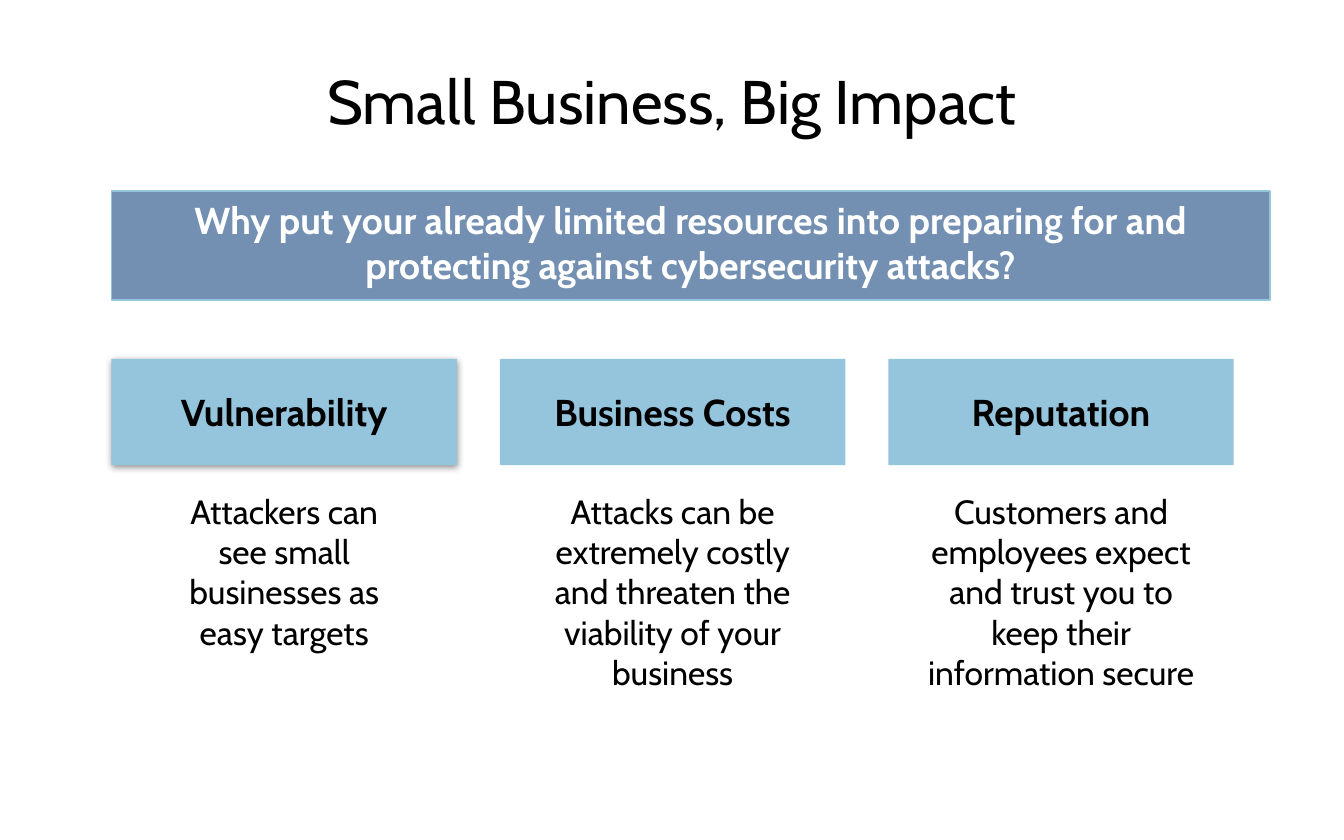
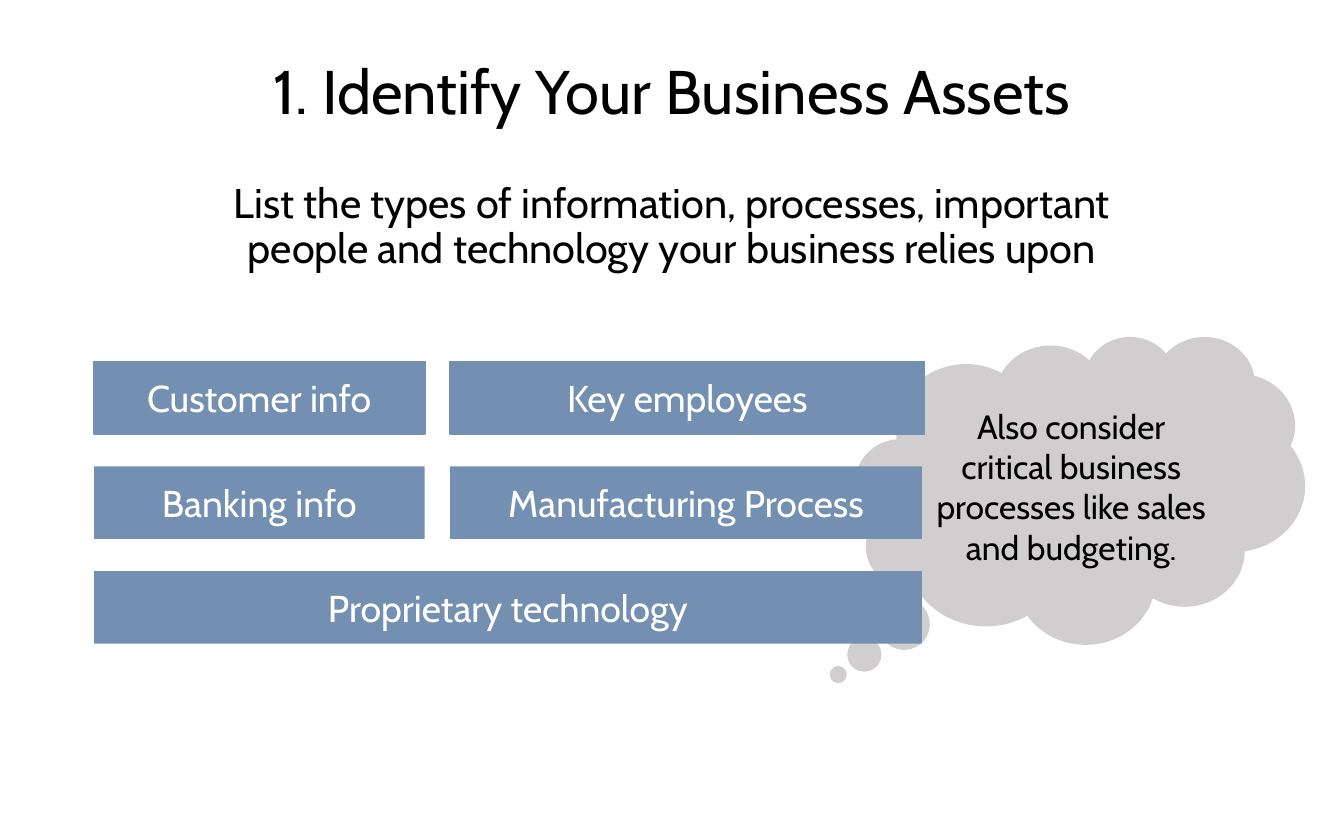
from dataclasses import dataclass

from lxml.etree import SubElement
from pptx import Presentation
from pptx.dml.color import RGBColor
from pptx.enum.shapes import MSO_SHAPE
from pptx.enum.text import MSO_ANCHOR, MSO_AUTO_SIZE, PP_ALIGN
from pptx.oxml.ns import qn
from pptx.shapes.autoshape import Shape
from pptx.slide import Slide
from pptx.util import Inches, Pt

FONT = "Cabin"
COLORS = {
    "text": "000000",
    "light_text": "FFFFFF",
    "slate": "7390B3",
    "sky": "95C4DD",
    "cloud": "D0CECE",
}


@dataclass(frozen=True)
class Box:
    left: float
    top: float
    width: float
    height: float


@dataclass(frozen=True)
class Style:
    size: float
    color: str = "text"
    bold: bool = False
    anchor: MSO_ANCHOR = MSO_ANCHOR.MIDDLE
    line_spacing: float = 1.0


@dataclass(frozen=True)
class Reason:
    heading: str
    detail: str
    detail_width: float
    detail_height: float
    raised: bool = False


@dataclass(frozen=True)
class Asset:
    label: str
    row: int
    left: float
    width: float
    outline: str | None = None


TITLE = Style(33, line_spacing=0.9)
SUBTITLE = Style(22.2, anchor=MSO_ANCHOR.TOP, line_spacing=0.9)
BANNER = Style(20, "light_text", bold=True, anchor=MSO_ANCHOR.TOP)
HEADING = Style(20, bold=True)
DETAIL = Style(18, anchor=MSO_ANCHOR.TOP)
ASSET = Style(20, "light_text")
CALLOUT = Style(18)

CARD = Box(0.83, 2.67, 2.57, 0.79)
CARD_STEP = 2.89
DETAIL_TOP = 3.6
REASONS = [
    Reason("Vulnerability", "Attackers can see small businesses as easy targets", 1.93, 1.31, raised=True),
    Reason(
        "Business Costs",
        "Attacks can be extremely costly and threaten the viability of your business",
        2.34,
        1.31,
    ),
    Reason(
        "Reputation",
        "Customers and employees expect and trust you to keep their information secure",
        2.34,
        1.62,
    ),
]

ASSET_TOP = 2.69
ASSET_STEP = 0.78
ASSET_HEIGHT = 0.54
ASSETS = [
    Asset("Proprietary technology", 2, 0.7, 6.16),
    Asset("Manufacturing Process", 1, 3.35, 3.51),
    Asset("Banking info", 1, 0.7, 2.46),
    Asset("Key employees", 0, 3.35, 3.53, "slate"),
    Asset("Customer info", 0, 0.7, 2.46, "slate"),
]


def rgb(name: str) -> RGBColor:
    return RGBColor.from_string(COLORS[name])


def place(box: Box) -> tuple[Inches, Inches, Inches, Inches]:
    return Inches(box.left), Inches(box.top), Inches(box.width), Inches(box.height)


def write(shape: Shape, text: str, style: Style) -> None:
    frame = shape.text_frame
    frame.word_wrap = True
    frame.vertical_anchor = style.anchor
    paragraph = frame.paragraphs[0]
    paragraph.text = text
    paragraph.alignment = PP_ALIGN.CENTER
    paragraph.line_spacing = style.line_spacing
    font = paragraph.font
    font.name = FONT
    font.size = Pt(style.size)
    font.bold = style.bold
    font.color.rgb = rgb(style.color)


def add_text(slide: Slide, box: Box, text: str, style: Style) -> Shape:
    label = slide.shapes.add_textbox(*place(box))
    write(label, text, style)
    return label


def add_panel(
    slide: Slide,
    box: Box,
    text: str,
    style: Style,
    fill: str,
    outline: str | None = None,
    preset: MSO_SHAPE = MSO_SHAPE.RECTANGLE,
) -> Shape:
    panel = slide.shapes.add_shape(preset, *place(box))
    panel.shadow.inherit = False
    panel.fill.solid()
    panel.fill.fore_color.rgb = rgb(fill)
    if outline:
        panel.line.color.rgb = rgb(outline)
        panel.line.width = Pt(1)
    else:
        panel.line.fill.background()
    write(panel, text, style)
    return panel


def add_soft_shadow(panel: Shape) -> None:
    effects = panel._element.spPr.find(qn("a:effectLst"))
    shadow = SubElement(
        effects,
        qn("a:outerShdw"),
        blurRad=str(Pt(4)),
        dist=str(Pt(1)),
        dir=str(90 * 60000),
        algn="ctr",
        rotWithShape="0",
    )
    color = SubElement(shadow, qn("a:srgbClr"), val=COLORS["text"])
    SubElement(color, qn("a:alpha"), val="43000")


def add_reason(slide: Slide, reason: Reason, left: float) -> None:
    detail_left = left + (CARD.width - reason.detail_width) / 2
    detail_box = Box(detail_left, DETAIL_TOP, reason.detail_width, reason.detail_height)
    detail = add_text(slide, detail_box, reason.detail, DETAIL)
    detail.text_frame.auto_size = MSO_AUTO_SIZE.SHAPE_TO_FIT_TEXT
    card_box = Box(left, CARD.top, CARD.width, CARD.height)
    card = add_panel(slide, card_box, reason.heading, HEADING, "sky")
    if reason.raised:
        add_soft_shadow(card)


def build_impact(slide: Slide) -> None:
    add_text(slide, Box(0.69, 0.33, 8.62, 0.89), "Small Business, Big Impact", TITLE)
    add_panel(
        slide,
        Box(0.83, 1.42, 8.62, 0.81),
        "Why put your already limited resources into preparing for and protecting against cybersecurity attacks?",
        BANNER,
        "slate",
        "sky",
    )
    for column, reason in enumerate(REASONS):
        add_reason(slide, reason, CARD.left + column * CARD_STEP)


def build_assets(slide: Slide) -> None:
    add_text(slide, Box(0.69, 0.1, 8.62, 1.21), "1. Identify Your Business Assets", TITLE)
    add_text(
        slide,
        Box(1.57, 1.31, 6.86, 0.93),
        "List the types of information, processes, important people and technology your business relies upon",
        SUBTITLE,
    )
    callout = add_panel(
        slide,
        Box(6.37, 2.5, 3.34, 2.29),
        "Also consider critical business processes like sales and budgeting.",
        CALLOUT,
        "cloud",
        preset=MSO_SHAPE.CLOUD_CALLOUT,
    )
    callout.adjustments[0] = -0.54
    callout.adjustments[1] = 0.6
    callout.text_frame.margin_top = Inches(0.1)
    callout.text_frame.margin_right = Inches(0)
    for asset in ASSETS:
        box = Box(asset.left, ASSET_TOP + asset.row * ASSET_STEP, asset.width, ASSET_HEIGHT)
        add_panel(slide, box, asset.label, ASSET, "slate", asset.outline)


def main() -> None:
    presentation = Presentation()
    presentation.slide_width = Inches(10)
    presentation.slide_height = Inches(6.25)
    blank = presentation.slide_layouts[6]
    for build in (build_impact, build_assets):
        build(presentation.slides.add_slide(blank))
    presentation.save("out.pptx")


if __name__ == "__main__":
    main()
